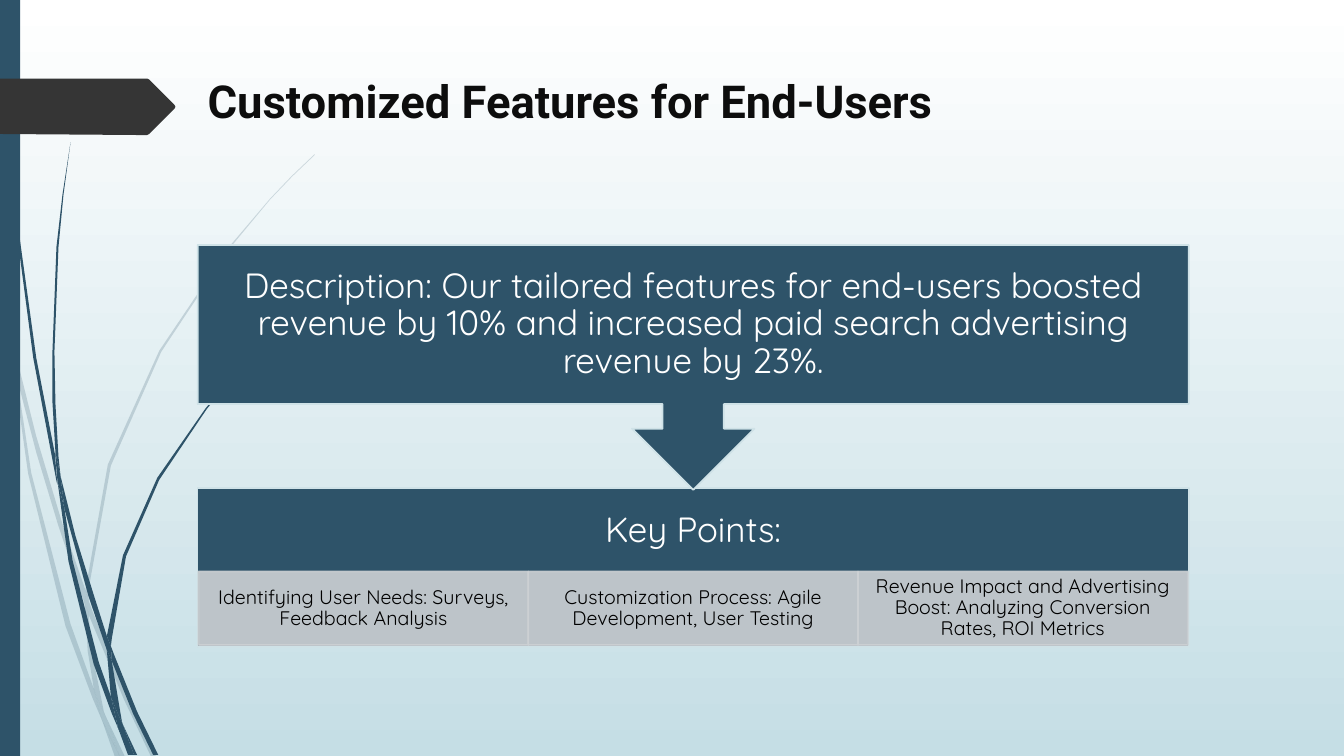
from dataclasses import dataclass

from lxml.etree import SubElement
from pptx import Presentation
from pptx.dml.color import RGBColor as RGB
from pptx.enum.shapes import MSO_SHAPE as SHAPE
from pptx.enum.text import MSO_ANCHOR as ANCHOR, PP_ALIGN as ALIGN
from pptx.oxml.ns import qn
from pptx.util import Inches, Pt


@dataclass(frozen=True)
class Theme:
    """Colours, fonts and type sizes of the slide."""
    navy: str = "2E5369"
    edge: str = "CFE2E7"
    grey: str = "CDD1D4"
    flag: str = "353535"
    sky_top: str = "FFFFFF"
    sky_bottom: str = "C5DEE5"
    title_ink: str = "0D0D0D"
    light_ink: str = "FFFFFF"
    dark_ink: str = "000000"
    title_font: str = "Roboto"
    body_font: str = "Quicksand"
    title_size: float = 32.4
    head_size: float = 25
    detail_size: float = 14
    line_width: float = 1.25


PALE_STRANDS = (
    "0.11 3.5 0.09 3.22 0 2.82 0 2.99 0.1 3.44",
    "0.58 5.22 0.84 5.99 0.85 5.86 0.62 5.2 0.36 4.33 0.14 3.45 0.17 3.76 0.36 4.49",
    "0.92 6.07 0.88 5.96 0.88 6.1 1.23 6.94 1.5 7.51 1.55 7.51 1.27 6.92",
    "1.19 7.51 1.24 7.51 1.05 7.11",
    "0.93 6.83 0.7 6.19 0.31 4.69 0.17 3.76 0.11 3.5 0.28 4.7 0.65 6.21 0.92 6.93 1.01 7.14 0.99 7.07",
    "0.84 5.99 0.87 6.46 0.93 6.83 0.96 6.92 1.05 7.11 1.03 7.06 0.91 6.46 0.88 6.1 0.88 6.08",
    "0.88 5.84 1.1 4.62 1.6 3.49 2.29 2.45 2.68 1.98 2.9 1.75 3.12 1.54 3.12 1.53 2.89 1.75 "
    "2.68 1.97 2.28 2.44 1.58 3.48 1.07 4.61 0.85 5.84 0.85 5.86 0.88 5.96",
    "1.01 7.14 1.14 7.51 1.19 7.51",
    "0.88 6.08 0.88 6.1 0.88 5.96 0.85 5.86 0.84 5.99",
    "0.96 6.92 0.93 6.83 0.99 7.07 1.01 7.14 1.19 7.51 1.05 7.11",
)
NAVY_STRANDS = (
    "0.07 1.1 0.17 2.33 0.33 3.55 0.56 4.77 0.57 4.81 0.55 4.57 0.55 4.53 0.36 3.55 0.19 2.32 "
    "0.08 1.09 0.05 0.48 0.04 0 0.03 0 0.04 0.48",
    "0.88 5.92 1.06 6.45 1.06 6.31 0.93 5.9 0.75 5.32 0.6 4.72 0.64 5.05",
    "1.13 6.49 1.1 6.41 1.11 6.56 1.32 7.08 1.52 7.49 1.57 7.49 1.36 7.06",
    "1.1 6.91 0.98 6.57 0.72 5.56 0.64 5.05 0.57 4.77 0.68 5.57 0.93 6.59 1.11 7.08 1.17 7.22 1.16 7.17",
    "0.6 4.72 0.58 4.53 0.55 4.01 0.54 3.49 0.58 2.45 0.63 1.93 0.7 1.41 0.62 1.93 0.56 2.45 "
    "0.52 3.49 0.52 3.99 0.55 4.49",
    "1.33 7.49 1.36 7.49 1.22 7.19",
    "0.57 4.77 0.64 5.05 0.6 4.72 0.55 4.49 0.55 4.53",
    "1.11 6.33 1.25 5.52 1.58 4.76 2.05 4.06 2.31 3.74 2.45 3.59 2.61 3.44 2.6 3.44 2.45 3.58 "
    "2.31 3.73 2.04 4.05 1.56 4.74 1.22 5.51 1.06 6.31 1.1 6.41",
    "1.17 7.22 1.27 7.49 1.31 7.49",
    "1.06 6.45 1.1 6.91 1.16 7.06 1.22 7.19 1.21 7.16 1.11 6.56 1.09 6.51",
    "1.06 6.45 1.09 6.51 1.11 6.56 1.1 6.41 1.06 6.31",
    "1.16 7.06 1.1 6.91 1.16 7.17 1.17 7.22 1.3 7.49 1.33 7.49 1.22 7.19",
)
FLAG = ("0 0.78 1.46 0.78 1.48 0.79 1.73 1.04 1.74 1.06 1.73 1.08 1.48 1.33 1.46 1.34 "
        "1.36 1.34 0 1.33")
DETAILS = (
    "Identifying User Needs: Surveys, Feedback Analysis",
    "Customization Process: Agile Development, User Testing",
    "Revenue Impact and Advertising Boost: Analyzing Conversion Rates, ROI Metrics",
)


class SlideBuilder:
    """Draws styled elements on the current slide."""

    def __init__(self, slide, theme):
        self.s, self.theme = slide, theme

    def background(self):
        """Fill the slide from top to bottom."""
        fill = self.s.background.fill
        fill.gradient()
        fill.gradient_angle = 270
        stops = zip(fill.gradient_stops, (self.theme.sky_top, self.theme.sky_bottom), (0, 1))
        for stop, color, position in stops:
            stop.color.rgb = RGB.from_string(color)
            stop.position = position

    def paint(self, sp, fill, line=None, alpha=None):
        """Set fill, outline and opacity in percent."""
        sp.shadow.inherit = False
        sp.fill.solid()
        sp.fill.fore_color.rgb = RGB.from_string(fill)
        if line:
            sp.line.color.rgb = RGB.from_string(line)
            sp.line.width = Pt(self.theme.line_width)
        else:
            sp.line.fill.background()
        if alpha:
            for color in sp.element.spPr.iter(qn("a:srgbClr")):
                SubElement(color, qn("a:alpha"), val=str(alpha * 1000))

    def shape(self, kind, box, fill, line=None, alpha=None, rotation=0):
        """Add a preset shape."""
        sp = self.s.shapes.add_shape(kind, *map(Inches, box))
        sp.rotation = rotation
        self.paint(sp, fill, line, alpha)

    def outline(self, coords, fill, alpha=None):
        """Add a closed outline from x y pairs in inches."""
        values = [Inches(float(v)) for v in coords.split()]
        start, *rest = zip(values[::2], values[1::2])
        builder = self.s.shapes.build_freeform(*start)
        builder.add_line_segments(rest, close=True)
        self.paint(builder.convert_to_shape(), fill, alpha=alpha)

    def text(self, box, words, size, color, font, inset=(0.1, 0.05), bold=False,
             align=ALIGN.CENTER, anchor=ANCHOR.MIDDLE, spacing=0.9):
        """Add a wrapped text box with one paragraph."""
        tf = self.s.shapes.add_textbox(*map(Inches, box)).text_frame
        side, end = map(Inches, inset)
        frame = {"word_wrap": True, "vertical_anchor": anchor, "margin_left": side,
                 "margin_right": side, "margin_top": end, "margin_bottom": end}
        p = tf.paragraphs[0]
        r = p.add_run()
        r.text = words
        formats = ((tf, frame), (p, {"alignment": align, "line_spacing": spacing}),
                   (r.font, {"name": font, "size": Pt(size), "bold": bold}))
        for target, values in formats:
            for name, value in values.items():
                setattr(target, name, value)
        r.font.color.rgb = RGB.from_string(color)


def main():
    """Build and save the slide."""
    prs = Presentation()
    prs.slide_width, prs.slide_height = Inches(13.33), Inches(7.5)
    t = Theme()
    b = SlideBuilder(prs.slides.add_slide(prs.slide_layouts[6]), t)
    b.background()
    for strands, alpha in ((PALE_STRANDS, 20), (NAVY_STRANDS, None)):
        for strand in strands:
            b.outline(strand, t.navy, alpha)
    b.shape(SHAPE.RECTANGLE, (0, 0, 0.2, 7.5), t.navy)
    b.outline(FLAG, t.flag)
    b.text((1.96, 0.68, 10.62, 1.4), "Customized Features for End-Users", t.title_size,
           t.title_ink, t.title_font, bold=True, align=ALIGN.LEFT, anchor=ANCHOR.TOP, spacing=1.0)

    left, width = 1.96, 9.83
    head = {"size": t.head_size, "color": t.light_ink, "font": t.body_font, "inset": (0.19, 0.19)}
    b.shape(SHAPE.RECTANGLE, (left, 4.84, width, 1.58), t.navy, t.edge)
    b.text((left, 4.84, width, 0.85), "Key Points:", **head)
    cell = 3.27
    for i, detail in enumerate(DETAILS):
        box = (1.97 + i * cell, 5.67, cell, 0.73)
        b.shape(SHAPE.RECTANGLE, box, t.grey, t.grey, alpha=90)
        b.text(box, detail, t.detail_size, t.dark_ink, t.body_font, inset=(0.11, 0.02))
    b.shape(SHAPE.UP_ARROW_CALLOUT, (left, 2.43, width, 2.43), t.navy, t.edge, rotation=180)
    b.text((left, 2.43, width, 1.58), "Description: Our tailored features for end-users boosted "
           "revenue by 10% and increased paid search advertising revenue by 23%.", **head)
    prs.save("out.pptx")


if __name__ == "__main__":
    main()
